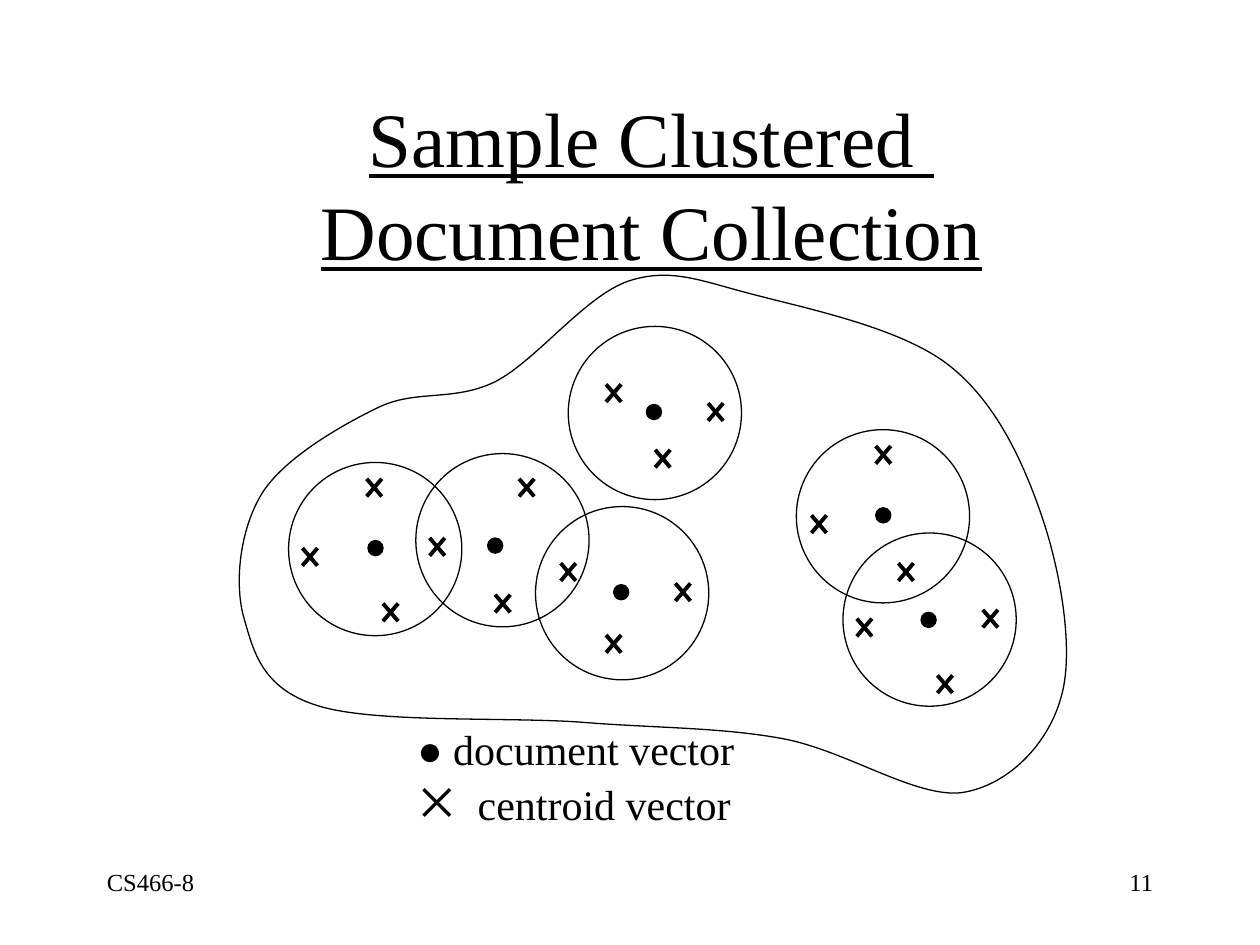
from lxml.etree import SubElement
from pptx import Presentation
from pptx.dml.color import RGBColor
from pptx.enum.shapes import MSO_CONNECTOR, MSO_SHAPE
from pptx.enum.text import MSO_ANCHOR, MSO_AUTO_SIZE, PP_ALIGN
from pptx.oxml.ns import qn
from pptx.util import Inches, Pt

BLACK = RGBColor(0, 0, 0)
SERIF = "Times New Roman"
CIRCLE, DOT = 1.375, 0.12
CROSS_W, CROSS_H = 0.12, 0.14


def style_outline(sp, filled=False):
    sp.shadow.inherit = False
    sp.line.color.rgb = BLACK
    sp.line.width = Pt(0.75)
    if filled:
        sp.fill.solid()
        sp.fill.fore_color.rgb = BLACK
    else:
        sp.fill.background()


def add_text(p, text, size, name=SERIF, **fmt):
    r = p.add_run()
    r.text = text
    r.font.color.rgb = BLACK
    for key, value in dict(size=Pt(size), name=name, **fmt).items():
        setattr(r.font, key, value)


prs = Presentation()
prs.slide_width, prs.slide_height = Inches(10), Inches(7.5)
s = prs.slides.add_slide(prs.slide_layouts[5])

title = s.shapes.title
title_box = {"left": 0.92, "top": 0.83, "width": 8.5, "height": 1.25}
for key, value in title_box.items():
    setattr(title, key, Inches(value))
tf = title.text_frame
tf.auto_size = MSO_AUTO_SIZE.NONE
tf.word_wrap = True
tf.vertical_anchor = MSO_ANCHOR.MIDDLE
p = tf.paragraphs[0]
p.alignment = PP_ALIGN.CENTER
add_text(p, "Sample Clustered ", 44, underline=True)
p.add_line_break()
add_text(p, "Document Collection", 44, underline=True)

circles = [(2.29, 3.67), (3.3, 3.6), (4.25, 4.02), (4.51, 2.59), (6.32, 3.41), (6.69, 4.23)]
dots = [(2.92, 4.29), (3.87, 4.27), (4.87, 4.64), (5.13, 3.21), (6.95, 4.03), (7.31, 4.86)]
for size, filled, spots in ((CIRCLE, False, circles), (DOT, True, dots)):
    for x, y in spots:
        sp = s.shapes.add_shape(MSO_SHAPE.OVAL, Inches(x), Inches(y), Inches(size), Inches(size))
        style_outline(sp, filled)

crosses = [
    (2.4, 4.35), (2.91, 3.8), (3.04, 4.79), (3.41, 4.27), (3.93, 4.72), (4.12, 3.8),
    (4.45, 4.47), (4.81, 5.04), (5.36, 4.63), (4.81, 3.05), (5.2, 3.57), (5.62, 3.2),
    (6.44, 4.09), (6.95, 3.54), (7.13, 4.47), (6.8, 4.91), (7.44, 5.36), (7.8, 4.84),
]
for x, y in crosses:
    group = s.shapes.add_group_shape()
    for x1, x2 in ((x + CROSS_W, x), (x, x + CROSS_W)):
        line = group.shapes.add_connector(
            MSO_CONNECTOR.STRAIGHT, Inches(x1), Inches(y), Inches(x2), Inches(y + CROSS_H))
        line.line.color.rgb = BLACK
        line.line.width = Pt(2.25)
        SubElement(line._element.spPr, qn("a:effectLst"))

legend = s.shapes.add_textbox(Inches(3.18), Inches(5.69), Inches(2.78), Inches(0.94))
tf = legend.text_frame
tf.word_wrap = True
p = tf.paragraphs[0]
p.alignment = PP_ALIGN.CENTER
add_text(p, "●", 24, "Arial")
add_text(p, " document vector", 24)
p = tf.add_paragraph()
p.alignment = PP_ALIGN.CENTER
p.line_spacing = 1.1
add_text(p, "centroid vector", 24)
pPr = p._p.get_or_add_pPr()
pPr.set("marL", str(Inches(0.45)))
pPr.set("indent", str(Inches(-0.45)))
SubElement(pPr, qn("a:buFont")).set("typeface", SERIF)
SubElement(pPr, qn("a:buChar")).set("char", "✕")

left, top, right, bottom = 1.86, 2.12, 8.53, 6.34
start = (7.64, 6.29)
curves = [
    ((7.27, 6.34), (6.71, 5.95), (6.2, 5.86)),
    ((5.7, 5.77), (5.2, 5.78), (4.59, 5.73)),
    ((3.98, 5.69), (2.96, 5.74), (2.52, 5.6)),
    ((2.07, 5.46), (2.01, 5.16), (1.93, 4.88)),
    ((1.86, 4.6), (1.91, 4.18), (2.09, 3.9)),
    ((2.27, 3.63), (2.7, 3.38), (3.01, 3.23)),
    ((3.31, 3.09), (3.6, 3.19), (3.93, 3.03)),
    ((4.26, 2.86), (4.64, 2.35), (4.99, 2.23)),
    ((5.33, 2.12), (5.56, 2.23), (5.99, 2.34)),
    ((6.41, 2.45), (7.14, 2.6), (7.52, 2.89)),
    ((7.9, 3.18), (8.12, 3.66), (8.27, 4.1)),
    ((8.42, 4.54), (8.53, 5.18), (8.42, 5.54)),
    ((8.32, 5.9), (8.01, 6.23), start),
]
builder = s.shapes.build_freeform(Inches(left), Inches(top))
builder.add_line_segments([(Inches(right), Inches(bottom))], close=True)
collection = builder.convert_to_shape()
style_outline(collection)
outline = collection._element.spPr.find(".//" + qn("a:path"))
for node in list(outline):
    outline.remove(node)
for tag, points in [("a:moveTo", [start])] + [("a:cubicBezTo", curve) for curve in curves]:
    node = SubElement(outline, qn(tag))
    for x, y in points:
        pt = SubElement(node, qn("a:pt"))
        pt.set("x", str(Inches(x - left)))
        pt.set("y", str(Inches(y - top)))
SubElement(outline, qn("a:close"))

footers = [(7.17, "11", PP_ALIGN.RIGHT), (0.75, "CS466-8", PP_ALIGN.LEFT)]
for x, text, align in footers:
    box = s.shapes.add_textbox(Inches(x), Inches(6.83), Inches(2.08), Inches(0.5))
    box.text_frame.word_wrap = True
    p = box.text_frame.paragraphs[0]
    p.alignment = align
    add_text(p, text, 14)

prs.save("out.pptx")
